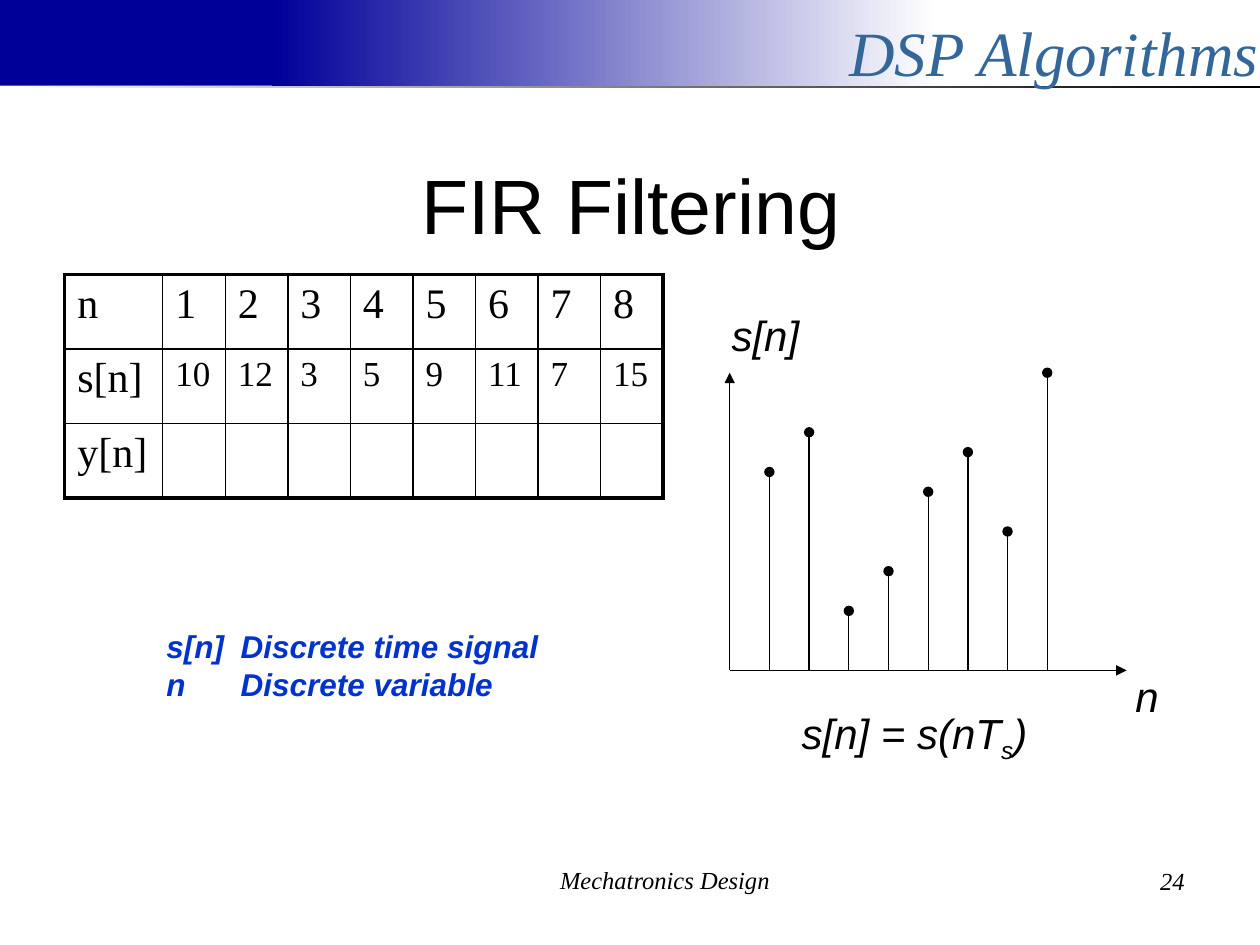
from collections import namedtuple
from dataclasses import dataclass

from lxml import etree
from pptx import Presentation
from pptx.dml.color import RGBColor
from pptx.enum import shapes, text
from pptx.oxml import ns
from pptx.util import Pt

Box = namedtuple("Box", "left top width height")


@dataclass(frozen=True)
class Theme:
    serif: str = "Times New Roman"
    sans: str = "Arial"
    black: str = "000000"
    white: str = "FFFFFF"
    navy: str = "000099"
    steel: str = "336699"
    blue: str = "0033CC"
    title: float = 44
    banner: float = 36
    label: float = 24
    sample: float = 20
    legend: float = 18
    footer: float = 14
    thin: float = 1
    thick: float = 2.25
    axis: float = 0.75


THEME = Theme()
SIGNAL = [10, 12, 3, 5, 9, 11, 7, 15]


def points(box):
    return [Pt(length) for length in box]


def style(paragraph, family, size, color=THEME.black, italic=False, bold=False):
    font = paragraph.font
    font.name, font.size = family, Pt(size)
    font.italic, font.bold = italic, bold
    font.color.rgb = RGBColor.from_string(color)


def add_label(slide, box, wording, family, size, color=THEME.black,
              align=text.PP_ALIGN.LEFT, bold=False, wrap=False):
    frame = slide.shapes.add_textbox(*points(box)).text_frame
    frame.word_wrap = wrap
    frame.text = wording
    for paragraph in frame.paragraphs:
        paragraph.alignment = align
        style(paragraph, family, size, color, italic=True, bold=bold)
    return frame


def add_band(slide, box, *colors):
    band = slide.shapes.add_shape(shapes.MSO_SHAPE.RECTANGLE, *points(box))
    band.shadow.inherit = False
    band.line.fill.background()
    if len(colors) == 1:
        band.fill.solid()
        band.fill.fore_color.rgb = RGBColor.from_string(colors[0])
        return
    band.fill.gradient()
    band.fill.gradient_angle = 0
    for stop, color, position in zip(band.fill.gradient_stops, colors, (0, 1)):
        stop.color.rgb = RGBColor.from_string(color)
        stop.position = position


def add_banner(slide, box):
    solid = 155.5
    add_band(slide, Box(box.left, box.top, solid, box.height), THEME.navy)
    add_band(slide, Box(box.left + solid, box.top, 380, box.height),
             THEME.navy, THEME.white)
    add_band(slide, Box(box.left, box.top + box.height, box.width, 1.5),
             THEME.white, THEME.black)
    course = add_label(slide, Box(box.left + box.width - 235.5, box.top, 235.5, 41),
                       "DSP Algorithms", THEME.serif, THEME.banner, THEME.steel,
                       text.PP_ALIGN.CENTER)
    course.margin_left = course.margin_right = 0
    course.margin_top = Pt(8)


def add_title(slide, box):
    title = slide.shapes.title
    title.left, title.top, title.width, title.height = points(box)
    title.text_frame.text = "FIR Filtering"
    title.text_frame.vertical_anchor = text.MSO_ANCHOR.MIDDLE
    heading = title.text_frame.paragraphs[0]
    heading.alignment = text.PP_ALIGN.CENTER
    style(heading, THEME.sans, THEME.title)


def add_border(cell, side, weight):
    properties = cell._tc.get_or_add_tcPr()
    border = etree.SubElement(properties, ns.qn(f"a:ln{side}"), w=str(Pt(weight)))
    fill = etree.SubElement(border, ns.qn("a:solidFill"))
    etree.SubElement(fill, ns.qn("a:srgbClr"), val=THEME.black)


def add_signal_table(slide, box):
    rows = [["n", *range(1, len(SIGNAL) + 1)],
            ["s[n]", *SIGNAL],
            ["y[n]"] + [""] * len(SIGNAL)]
    last_row, last_column = len(rows) - 1, len(SIGNAL)
    table = slide.shapes.add_table(len(rows), last_column + 1, *points(box)).table
    table.first_row = table.horz_banding = False
    name_width = 56
    for c, column in enumerate(table.columns):
        column.width = Pt((box.width - name_width) / last_column if c else name_width)
    for r, values in enumerate(rows):
        table.rows[r].height = Pt(box.height / len(rows))
        for c, value in enumerate(values):
            cell = table.cell(r, c)
            cell.text = str(value)
            size = THEME.sample if r == 1 and c else THEME.label
            style(cell.text_frame.paragraphs[0], THEME.serif, size)
            edges = {"L": c == 0, "R": c == last_column,
                     "T": r == 0, "B": r == last_row}
            for side, outer in edges.items():
                add_border(cell, side, THEME.thick if outer else THEME.thin)
            cell.fill.background()


def add_line(slide, start, end, tip):
    line = slide.shapes.add_connector(shapes.MSO_CONNECTOR.STRAIGHT,
                                      *points((*start, *end)))
    line.line.width = Pt(THEME.axis)
    line.line.color.rgb = RGBColor.from_string(THEME.black)
    etree.SubElement(line.line._get_or_add_ln(), ns.qn("a:tailEnd"), type=tip)
    etree.SubElement(line._element.spPr, ns.qn("a:effectLst"))


def add_stem_plot(slide, box):
    base = box.top + box.height
    step = box.width / 10
    unit = box.height / max(SIGNAL)
    origin = (box.left, base)
    add_line(slide, origin, (box.left, box.top), "triangle")
    add_line(slide, origin, (box.left + box.width, base), "triangle")
    for n, value in enumerate(SIGNAL, start=1):
        x = box.left + n * step
        add_line(slide, (x, base), (x, base - value * unit), "oval")

    font = (THEME.sans, THEME.label)
    add_label(slide, Box(box.left - 6, box.top - 39.5, 53, 36), "s[n]", *font)
    add_label(slide, Box(box.left + box.width - 2, base - 3.5, 28, 36), "n", *font)
    sampling = add_label(slide, Box(box.left + 34, base + 17.5, 145, 36), "",
                         *font).paragraphs[0]
    for part in ("s[n] = s(nT", "s", ")"):
        run = sampling.add_run()
        run.text = part
        if part == "s":
            run.font._element.set("baseline", "-25000")


def add_legend(slide, box):
    legend = add_label(slide, box, "s[n]\tDiscrete time signal\nn\tDiscrete variable",
                       THEME.sans, THEME.legend, THEME.blue, bold=True)
    for paragraph in legend.paragraphs:
        properties = paragraph._p.get_or_add_pPr()
        tabs = etree.Element(ns.qn("a:tabLst"))
        etree.SubElement(tabs, ns.qn("a:tab"), pos=str(Pt(42.5)), algn="l")
        properties.insert(0, tabs)


def add_footer(slide, box):
    font = (THEME.serif, THEME.footer, THEME.black)
    add_label(slide, Box(box.left, box.top, 244, box.height), "Mechatronics Design",
              *font, text.PP_ALIGN.CENTER, wrap=True)
    add_label(slide, Box(box.left + box.width - 168, box.top + 0.5, 168, box.height),
              "24", *font, text.PP_ALIGN.RIGHT, wrap=True)


def main():
    deck = Presentation()
    deck.slide_width, deck.slide_height = Pt(720), Pt(540)
    slide = deck.slides.add_slide(deck.slide_layouts[5])
    add_banner(slide, Box(0, 0, 720, 49))
    add_footer(slide, Box(258, 491, 426, 37.5))
    add_title(slide, Box(36.5, 71.5, 648, 90))
    add_stem_plot(slide, Box(417, 213, 226.8, 170.1))
    add_legend(slide, Box(88, 355, 227.5, 50.5))
    add_signal_table(slide, Box(37, 157, 342, 127.5))
    deck.save("out.pptx")


if __name__ == "__main__":
    main()
